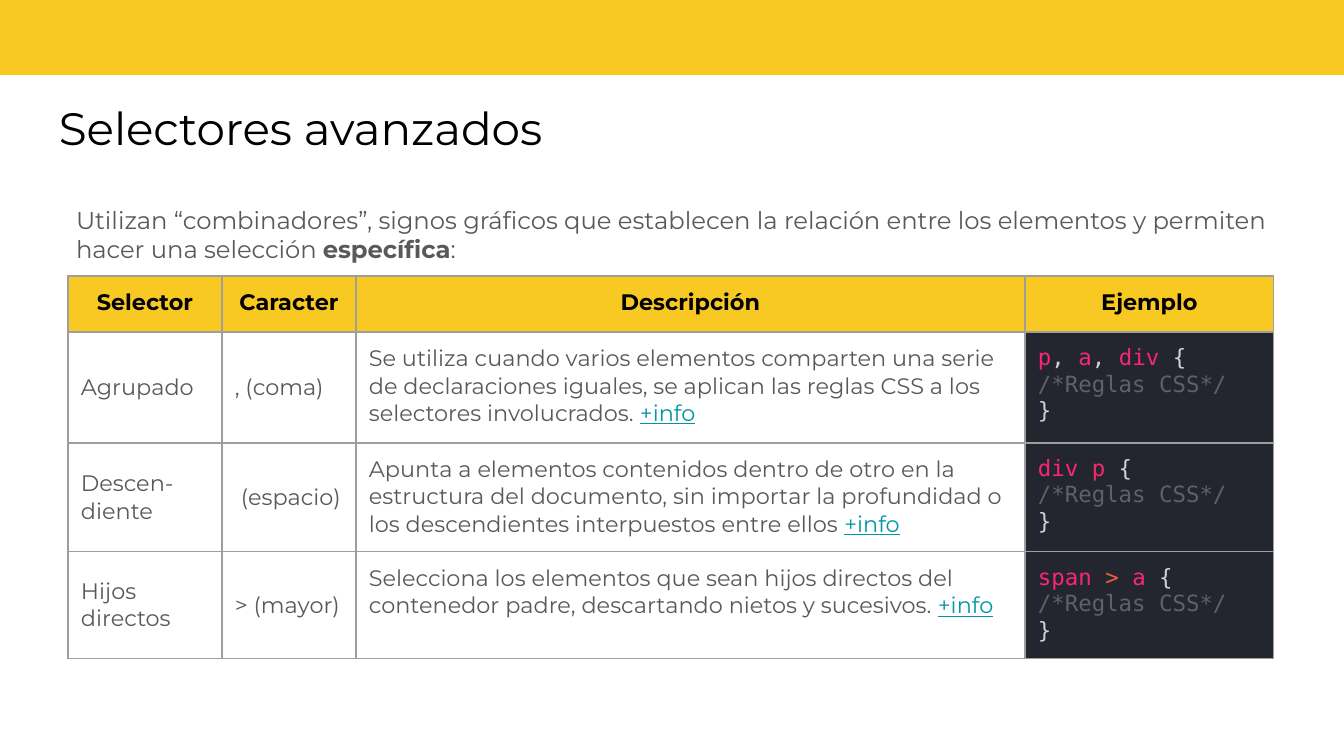
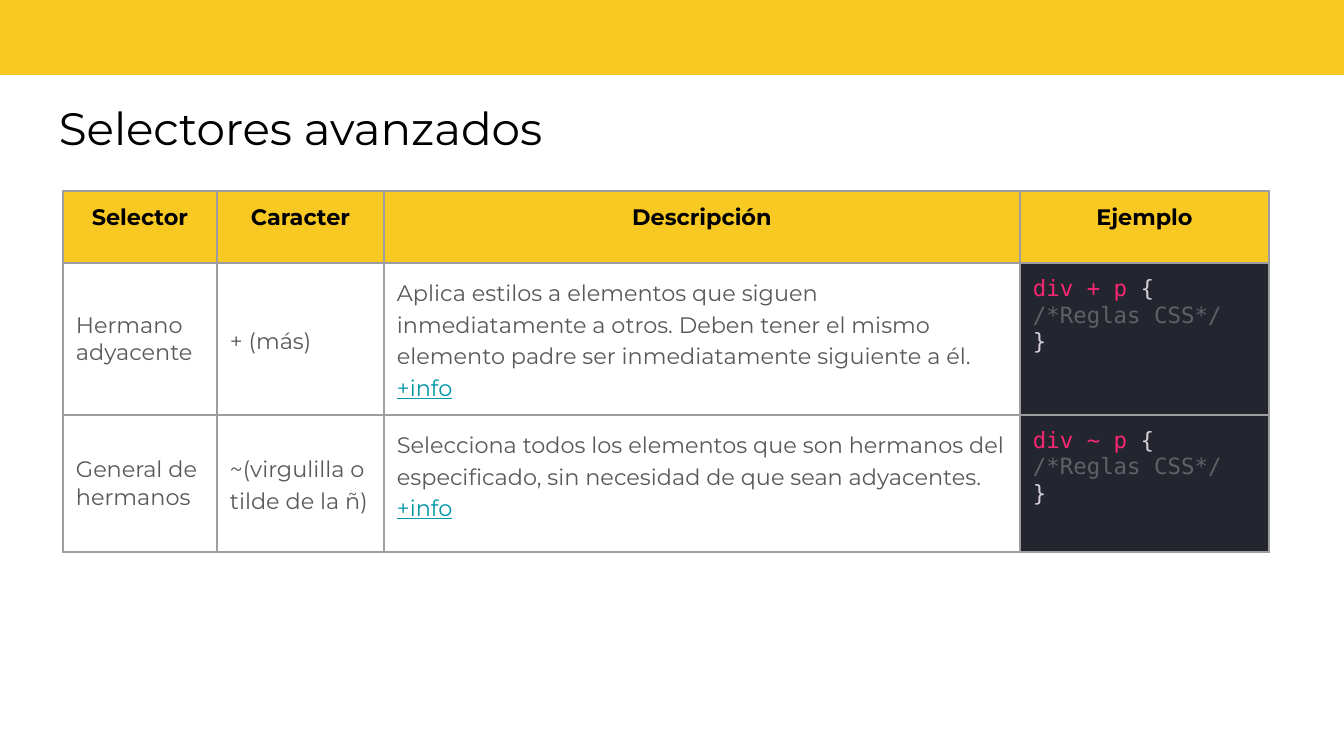
from lxml import etree
from pptx import Presentation
from pptx.dml.color import RGBColor
from pptx.enum.shapes import MSO_SHAPE
from pptx.enum.text import MSO_ANCHOR, PP_ALIGN
from pptx.oxml.ns import qn
from pptx.util import Emu, Pt

RECT = MSO_SHAPE.RECTANGLE
TOP, MIDDLE = MSO_ANCHOR.TOP, MSO_ANCHOR.MIDDLE
LEFT, CENTER = PP_ALIGN.LEFT, PP_ALIGN.CENTER

EMU_PER_PX = 914400 / 134.4
INSET = 13
SANS, MONO = "Montserrat", "DejaVu Sans Mono"
YELLOW, BLACK, GREY, BORDER, LINK = "F8C823", "000000", "595959", "9E9E9E", "0097A7"
CODE_BACK, CODE_TAG, CODE_SIGN = "23262E", "F92672", "EE5D43"
CODE_PLAIN, CODE_COMMENT = "D5CED9", "5F6167"

TITLE = "Selectores avanzados"
HEADERS = ["Selector", "Caracter", "Descripción", "Ejemplo"]
INTRO = [
    "Utilizan “combinadores”, signos gráficos que establecen la relación "
    "entre los elementos y permiten hacer una selección ",
    ("específica", {"bold": True}),
    ":",
]

# Each row: selector, character, description, coloured parts of the example
COMBINATORS = [
    ("Agrupado", ", (coma)",
     "Se utiliza cuando varios elementos comparten una serie de declaraciones "
     "iguales, se aplican las reglas CSS a los selectores involucrados. ",
     [("p", CODE_TAG), (", ", CODE_PLAIN), ("a", CODE_TAG),
      (", ", CODE_PLAIN), ("div", CODE_TAG)]),
    ("Descen- diente", " (espacio)",
     "Apunta a elementos contenidos dentro de otro en la estructura del documento, "
     "sin importar la profundidad o los descendientes interpuestos entre ellos ",
     [("div p", CODE_TAG)]),
    ("Hijos directos", "> (mayor)",
     "Selecciona los elementos que sean hijos directos del contenedor padre, "
     "descartando nietos y sucesivos. ",
     [("span ", CODE_TAG), ("> ", CODE_SIGN), ("a", CODE_TAG)]),
]
SIBLINGS = [
    ("Hermano adyacente", "+ (más)",
     "Aplica estilos a elementos que siguen inmediatamente a otros. Deben tener el "
     "mismo elemento padre ser inmediatamente siguiente a él. ",
     [("div + p", CODE_TAG)]),
    ("General de hermanos", "~(virgulilla o tilde de la ñ)",
     "Selecciona todos los elementos que son hermanos del especificado, "
     "sin necesidad de que sean adyacentes. ",
     [("div ~ p", CODE_TAG)]),
]


def px(n):
    return Emu(round(n * EMU_PER_PX))


def rgb(color):
    return RGBColor.from_string(color)


def write(tf, *lines, size=12, font=SANS, color=GREY, bold=False,
          align=LEFT, spacing=None):
    """Write one paragraph per line; a line is a list of texts or (text, changes)."""
    tf.word_wrap = True
    for i, line in enumerate(lines):
        p = tf.paragraphs[0] if i == 0 else tf.add_paragraph()
        p.alignment = align
        if spacing:
            p.line_spacing = spacing
        for part in line:
            text, changes = (part, {}) if isinstance(part, str) else part
            r = p.add_run()
            r.text = text
            r.font.name = font
            r.font.size = Pt(size)
            r.font.bold = changes.get("bold", bold)
            r.font.underline = changes.get("underline")
            r.font.color.rgb = rgb(changes.get("color", color))


def set_insets(target):
    target.margin_left = target.margin_right = px(INSET)
    target.margin_top = target.margin_bottom = px(INSET)


def add_text(s, box, *lines, **style):
    tf = s.shapes.add_textbox(*map(px, box)).text_frame
    set_insets(tf)
    write(tf, *lines, **style)


def add_base(prs):
    """Add a slide with the yellow band and the title."""
    s = prs.slides.add_slide(prs.slide_layouts[6])
    band = s.shapes.add_shape(RECT, px(-1), px(-7), px(1348), px(82))
    band.shadow.inherit = False
    band.fill.solid()
    band.fill.fore_color.rgb = rgb(YELLOW)
    band.line.fill.background()
    add_text(s, (46, 87, 1250, 85), [TITLE], size=24.3, color=BLACK)
    return s


def add_borders(cell):
    tc_pr = cell._tc.get_or_add_tcPr()
    for i, side in enumerate(("lnL", "lnR", "lnT", "lnB")):
        ln = etree.Element(qn(f"a:{side}"), w=str(Pt(0.75)))
        fill = etree.SubElement(ln, qn("a:solidFill"))
        etree.SubElement(fill, qn("a:srgbClr"), val=BORDER)
        tc_pr.insert(i, ln)


def fill_cell(cell, *lines, back=None, anchor=TOP, **style):
    set_insets(cell)
    cell.vertical_anchor = anchor
    if back:
        cell.fill.solid()
        cell.fill.fore_color.rgb = rgb(back)
    else:
        cell.fill.background()
    add_borders(cell)
    write(cell.text_frame, *lines, **style)


def css_rule(selector):
    """Return the lines of a rule with the given coloured selector."""
    parts = selector + [(" {", CODE_PLAIN)]
    return [
        [(text, {"color": color}) for text, color in parts],
        [("/*Reglas CSS*/", {"color": CODE_COMMENT})],
        ["}"],
    ]


def add_selector_table(s, left, top, widths, heights, rows, spacing=None):
    frame = s.shapes.add_table(len(heights), len(widths), px(left), px(top),
                               px(sum(widths)), px(sum(heights)))
    table = frame.table
    table.first_row = table.horz_banding = False
    for column, width in zip(table.columns, widths):
        column.width = px(width)
    for row, height in zip(table.rows, heights):
        row.height = px(height)
    for i, header in enumerate(HEADERS):
        fill_cell(table.cell(0, i), [header], back=YELLOW, color=BLACK,
                  bold=True, align=CENTER)
    link = ("+info", {"color": LINK, "underline": True})
    for i, (name, character, description, selector) in enumerate(rows, 1):
        fill_cell(table.cell(i, 0), [name], anchor=MIDDLE)
        fill_cell(table.cell(i, 1), [character], anchor=MIDDLE, spacing=spacing)
        fill_cell(table.cell(i, 2), [description, link], spacing=spacing)
        fill_cell(table.cell(i, 3), *css_rule(selector), back=CODE_BACK,
                  font=MONO, color=CODE_PLAIN)


def main():
    prs = Presentation()
    prs.slide_width, prs.slide_height = px(1344), px(756)

    s = add_base(prs)
    add_text(s, (63, 192, 1218, 488), INTRO, size=13)
    add_selector_table(s, 68, 276, [154, 134, 669, 249], [56, 111, 109, 106],
                       COMBINATORS)

    s = add_base(prs)
    add_selector_table(s, 63, 191, [154, 167, 636, 249], [72, 152, 137],
                       SIBLINGS, spacing=1.15)

    prs.save("out.pptx")


if __name__ == "__main__":
    main()
